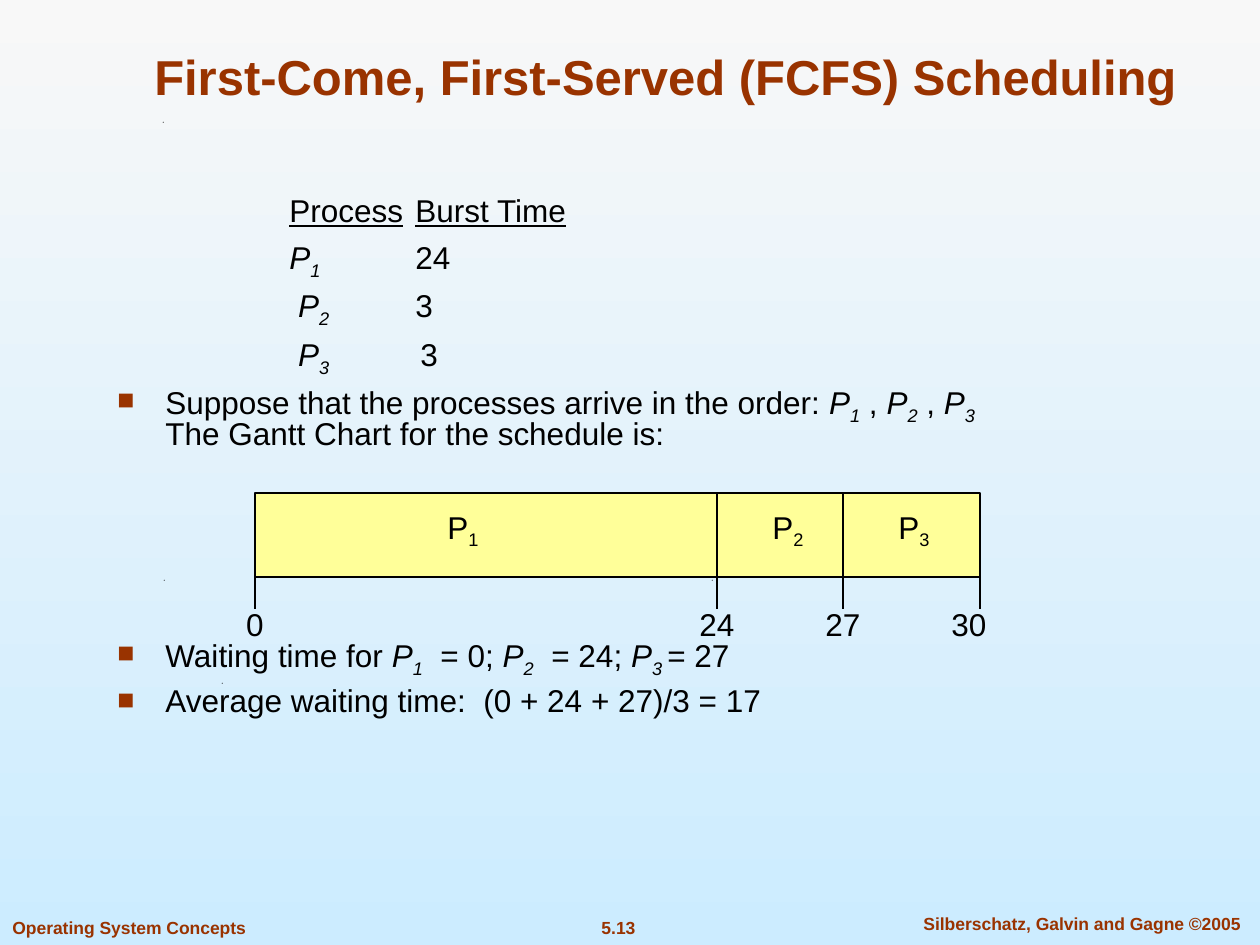
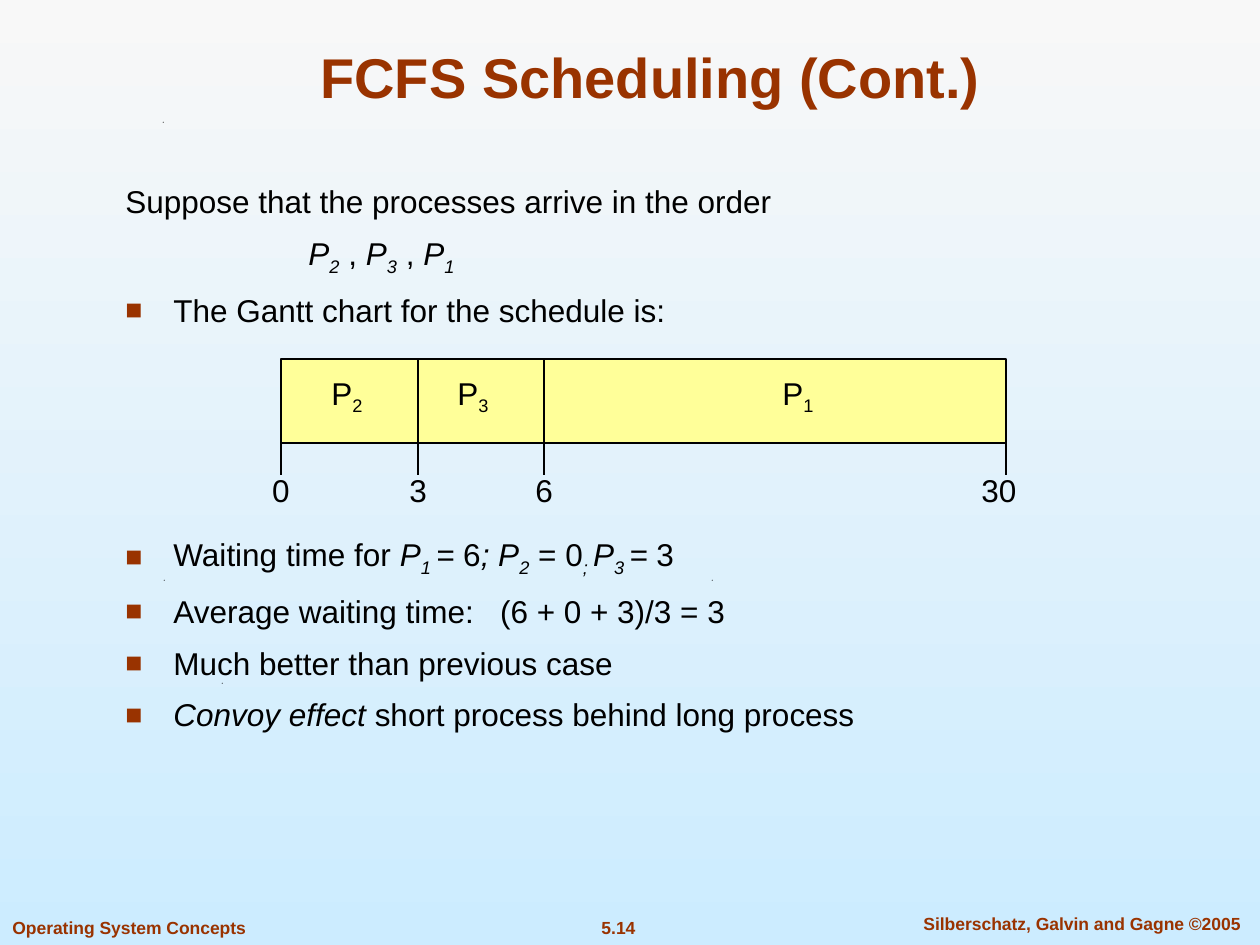
from dataclasses import dataclass
from itertools import accumulate

from lxml import etree
from pptx import Presentation
from pptx.dml.color import RGBColor
from pptx.enum.shapes import MSO_CONNECTOR, MSO_SHAPE
from pptx.enum.text import MSO_ANCHOR, PP_ALIGN
from pptx.oxml.ns import qn
from pptx.util import Pt

LEFT, CENTER, RIGHT = PP_ALIGN.LEFT, PP_ALIGN.CENTER, PP_ALIGN.RIGHT
TOP, MIDDLE, BOTTOM = MSO_ANCHOR.TOP, MSO_ANCHOR.MIDDLE, MSO_ANCHOR.BOTTOM
STRAIGHT, RECT = MSO_CONNECTOR.STRAIGHT, MSO_SHAPE.RECTANGLE
WIDTH, HEIGHT = 1260, 945
SCALE = 914400 / 126
HANG = 48


def px(n):
    return round(n * SCALE)


def rgb(code):
    return RGBColor.from_string(code)


@dataclass(frozen=True)
class Theme:
    font: str = "Arial"
    ink: str = "000000"
    rust: str = "993300"
    bar: str = "FFFF99"
    sky: tuple = ("F8F8F8", "CCECFF")
    text: int = 18
    foot: int = 10
    line: float = 0.75
    gap: float = 7.9


class Deck:
    def __init__(self, theme):
        self.theme = theme
        self.file = Presentation()
        self.file.slide_width = px(WIDTH)
        self.file.slide_height = px(HEIGHT)
        self.slide = None

    def page(self, number):
        self.slide = self.file.slides.add_slide(self.file.slide_layouts[6])
        fill = self.slide.background.fill
        fill.gradient()
        fill.gradient_angle = 270
        for stop, code in zip(fill.gradient_stops, self.theme.sky):
            stop.color.rgb = rgb(code)
        for spot in ((222, 683), (164, 580), (712, 580), (163, 122)):
            self.speck(*spot)
        self.foot(number, 557, 911, 123, CENTER)
        self.foot("Silberschatz, Galvin and Gagne ©2005", 895, 907, 374, CENTER)
        self.foot("Operating System Concepts", 0, 911, 280, LEFT)

    def speck(self, x, y):
        pen = self.slide.shapes.build_freeform(px(x), px(y))
        pen.add_line_segments([(px(x + 1), px(y)), (px(x), px(y + 1))])
        shape = pen.convert_to_shape()
        shape.shadow.inherit = False
        shape.fill.solid()
        shape.fill.fore_color.rgb = rgb(self.theme.ink)
        shape.line.fill.background()

    def frame(self, x, y, w, h, anchor=TOP, wrap=True):
        frame = self.slide.shapes.add_textbox(px(x), px(y), px(w), px(h)).text_frame
        frame.word_wrap = wrap
        frame.vertical_anchor = anchor
        return frame

    def style(self, font, size, color, bold=False):
        font.name = self.theme.font
        font.size = Pt(size)
        font.bold = bold
        font.color.rgb = rgb(color)

    def plain(self, frame, text, size, align):
        frame.text = text
        para = frame.paragraphs[0]
        para.alignment = align
        self.style(para.runs[0].font, size, self.theme.rust, True)

    def foot(self, text, x, y, w, align):
        self.plain(self.frame(x, y, w, 34), text, self.theme.foot, align)

    def title(self, text, x, y, w, h, size):
        self.plain(self.frame(x, y, w, h, BOTTOM), text, size, CENTER)

    def rich(self, para, text):
        # pieces are split by "|"; a first mark sets the style of its piece
        for piece in text.split("|"):
            if piece == "\n":
                para.add_line_break()
                continue
            mark = piece[0] if piece[0] in "/~_^" else ""
            run = para.add_run()
            run.text = piece[len(mark):]
            self.style(run.font, self.theme.text, self.theme.ink)
            if mark in ("/", "~"):
                run.font.italic = True
            if mark == "_":
                run.font.underline = True
            if mark in ("~", "^"):
                run.font._element.set("baseline", "-25000")

    def body(self, x, y, w, h, rows, pitch=1.0):
        frame = self.frame(x, y, w, h)
        for i, (kind, text) in enumerate(rows):
            para = frame.add_paragraph() if i else frame.paragraphs[0]
            para.line_spacing = pitch
            para.space_before = Pt(self.theme.gap)
            self.rich(para, text)
            props = para._p.get_or_add_pPr()
            if kind == "bullet":
                self.bullet(props)
            elif kind == "tabs":
                stops = etree.SubElement(props, qn("a:tabLst"))
                for at in (172, 298):
                    etree.SubElement(stops, qn("a:tab"), pos=str(px(at)), algn="l")
            elif kind == "inset":
                props.set("marL", str(px(183)))

    def bullet(self, props):
        props.set("marL", str(px(HANG)))
        props.set("indent", str(-px(HANG)))
        tint = etree.SubElement(props, qn("a:buClr"))
        etree.SubElement(tint, qn("a:srgbClr"), val=self.theme.rust)
        etree.SubElement(props, qn("a:buSzPct"), val="90000")
        etree.SubElement(props, qn("a:buFont"), typeface=self.theme.font)
        etree.SubElement(props, qn("a:buChar"), char="■")

    def label(self, text, mid, y, h):
        para = self.frame(mid - 30, y, 60, h, MIDDLE, False).paragraphs[0]
        para.alignment = CENTER
        self.rich(para, text)

    def rule(self, x, top, end):
        line = self.slide.shapes.add_connector(STRAIGHT, px(x), px(top), px(x), px(end))
        line.line.color.rgb = rgb(self.theme.ink)
        line.line.width = Pt(self.theme.line)
        etree.SubElement(line._element.spPr, qn("a:effectLst"))

    def gantt(self, x, y, bars, names, times, shift):
        edges = list(accumulate((wide for wide, _ in bars), initial=x))
        base = y + 84
        box = self.slide.shapes.add_shape(RECT, px(x), px(y), px(edges[-1] - x), px(84))
        box.shadow.inherit = False
        box.fill.solid()
        box.fill.fore_color.rgb = rgb(self.theme.bar)
        box.line.color.rgb = rgb(self.theme.ink)
        box.line.width = Pt(self.theme.line)
        for edge, (_, mid), name in zip(edges, bars, names):
            self.label(f"P|^{name}", edge + mid, y + 8, 56)
        for edge, time in zip(edges, times):
            last = edge == edges[-1]
            self.rule(edge, base if last or edge == x else y, base + 32)
            self.label(str(time), edge - shift * last, y + 106, 50)


def main():
    deck = Deck(Theme())
    bars = [(462, 208), (126, 71), (137, 71)]
    flip = [(wide, wide - mid) for wide, mid in reversed(bars)]

    deck.page("5.13")
    deck.title("First-Come, First-Served (FCFS) Scheduling", 91, 49, 1149, 63, 28)
    deck.body(105, 192, 1042, 270, [
        ("tabs", "\t|_Process|\t|_Burst Time"),
        ("tabs", "\t|/P|~1|\t|24"),
        ("tabs", "\t |/P|~2|\t|3"),
        ("tabs", "\t |/P|~3|\t|~ |3"),
        ("bullet", "Suppose that the processes arrive in the order: "
                   "|/P|~1| , |/P|~2| , |/P|~3|\n|The Gantt Chart for the schedule is:"),
    ], 0.8)
    deck.body(105, 634, 1042, 124, [
        ("bullet", "Waiting time for |/P|~1|  = 0; |/P|~2|  = 24; |/P|~3 |= 27"),
        ("bullet", "Average waiting time:  (0 + 24 + 27)/3 = 17"),
    ], 0.8)
    deck.gantt(255, 493, bars, (1, 2, 3), (0, 24, 27, 30), 11)

    deck.page("5.14")
    deck.title("FCFS Scheduling (Cont.)", 94, 32, 1113, 84, 32)
    deck.body(113, 176, 1013, 164, [
        ("plain", "Suppose that the processes arrive in the order"),
        ("inset", "/P|~2| , |/P|~3| , |/P|~1"),
        ("bullet", "The Gantt chart for the schedule is:"),
    ])
    deck.body(113, 529, 1013, 220, [
        ("bullet", "Waiting time for |/P|~1 |/=| 6|/; P|~2| = 0|~; |/P|~3 |/= |3"),
        ("bullet", "Average waiting time:   (6 + 0 + 3)/3 = 3"),
        ("bullet", "Much better than previous case"),
        ("bullet", "/Convoy effect| short process behind long process"),
    ])
    deck.gantt(281, 359, flip, (2, 3, 1), (0, 3, 6, 30), 7)
    deck.file.save("out.pptx")


if __name__ == "__main__":
    main()
